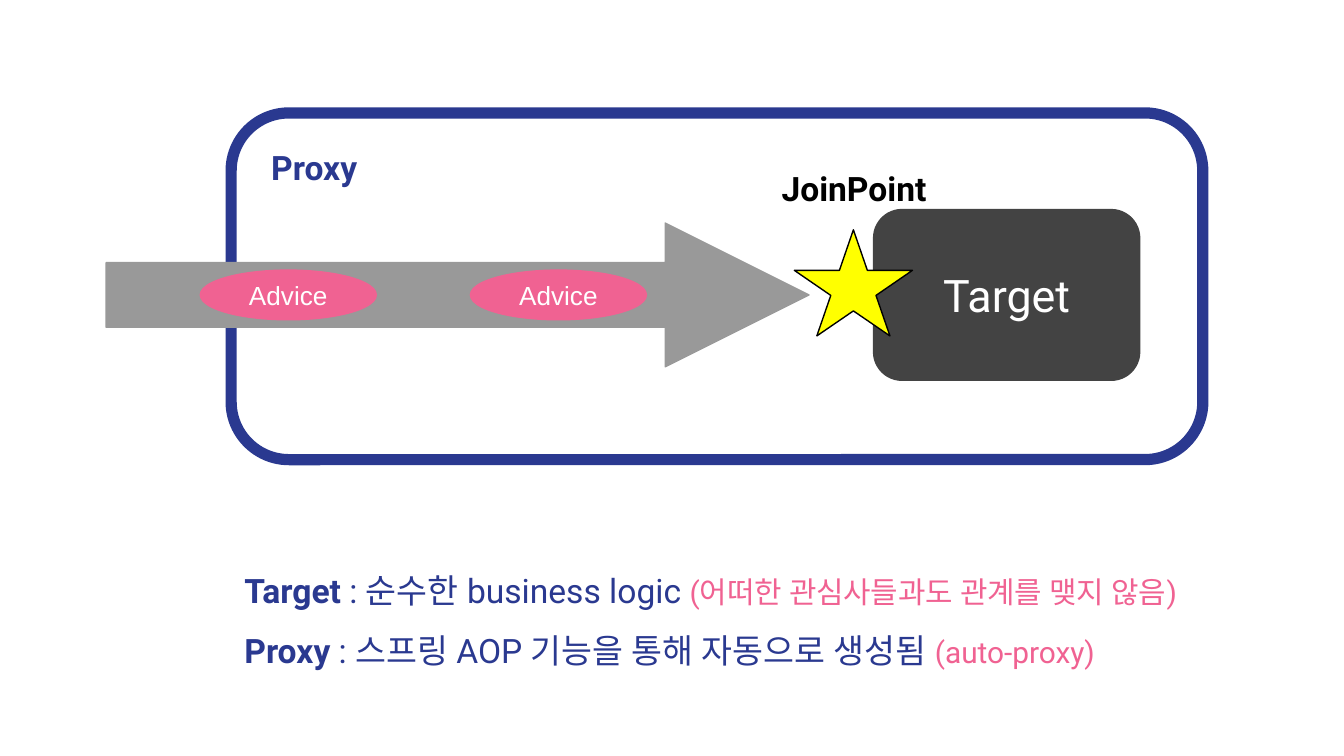
from collections import namedtuple

from pptx import Presentation
from pptx.dml.color import RGBColor
from pptx.enum.lang import MSO_LANGUAGE_ID
from pptx.enum.shapes import MSO_SHAPE
from pptx.enum.text import MSO_ANCHOR, PP_ALIGN
from pptx.oxml.xmlchemy import OxmlElement
from pptx.util import Inches, Pt

NAVY = RGBColor(0x2A, 0x39, 0x90)
PINK = RGBColor(0xF0, 0x62, 0x92)
GRAY = RGBColor(0x99, 0x99, 0x99)
DARK = RGBColor(0x43, 0x43, 0x43)
YELLOW = RGBColor(0xFF, 0xFF, 0x00)
WHITE = RGBColor(0xFF, 0xFF, 0xFF)
BLACK = RGBColor(0x00, 0x00, 0x00)

CELL = Inches(0.1)  # the slide is 100 columns by 56.25 rows
COLS, ROWS = 100, 56.25
Box = namedtuple("Box", "left top width height")


def place(area, left, top, width, height):
    """Return a box whose left and top are counted from those of area."""
    return Box(area.left + left, area.top + top, width, height)


def scale(box):
    return [round(side * CELL) for side in box]


def write(par, text, font="Roboto", size=18, color=NAVY, bold=False):
    run = par.add_run()
    run.text = text
    run.font.name = font
    run.font.size = Pt(size)
    run.font.bold = bold
    run.font.color.rgb = color
    run.font.language_id = MSO_LANGUAGE_ID.KOREAN
    asian = OxmlElement("a:ea")
    asian.set("typeface", font)
    run.font._element.find(".//{*}latin").addnext(asian)


def set_frame(frame, anchor=MSO_ANCHOR.MIDDLE):
    frame.word_wrap = True
    frame.vertical_anchor = anchor
    frame.margin_left = frame.margin_right = CELL
    frame.margin_top = frame.margin_bottom = CELL
    return frame


def add_label(slide, box, text, align=PP_ALIGN.LEFT, **style):
    frame = set_frame(slide.shapes.add_textbox(*scale(box)).text_frame)
    frame.paragraphs[0].alignment = align
    write(frame.paragraphs[0], text, **style)


def add_form(slide, kind, box, fill, line=None, weight=0.75, text="", **style):
    form = slide.shapes.add_shape(kind, *scale(box))
    form.shadow.inherit = False
    form.fill.solid()
    form.fill.fore_color.rgb = fill
    form.line.color.rgb = fill if line is None else line
    form.line.width = Pt(weight)
    if text:
        par = set_frame(form.text_frame).paragraphs[0]
        par.alignment = PP_ALIGN.CENTER
        write(par, text, color=WHITE, **style)
    return form


def draw_proxy(slide, box):
    """Draw the proxy frame, the call running through it and its target."""
    add_form(slide, MSO_SHAPE.ROUNDED_RECTANGLE, box, WHITE, NAVY, weight=6)
    add_label(slide, place(box, 2, 1.6, 10.3, 4.9), "Proxy", bold=True)

    call = place(box, -9.3, 8.2, 52.3, 10.7)
    arrow = add_form(slide, MSO_SHAPE.RIGHT_ARROW, call, GRAY)
    arrow.adjustments[0] = 0.45
    arrow.adjustments[1] = 1
    add_form(slide, MSO_SHAPE.ROUNDED_RECTANGLE,
             place(box, 47.8, 7.2, 19.8, 12.7), DARK, text="Target", size=24)
    for step in range(2):
        add_form(slide, MSO_SHAPE.OVAL,
                 place(call, 7 + 20.1 * step, 3.5, 13.1, 3.7), PINK,
                 text="Advice", font="Arial", size=14)

    add_form(slide, MSO_SHAPE.STAR_5_POINT,
             place(box, 41.9, 8.7, 8.8, 7.9), YELLOW, BLACK)
    add_label(slide, place(box, 39.4, 3.5, 13.9, 4.2), "JoinPoint",
              align=PP_ALIGN.CENTER, color=BLACK, bold=True)


def add_notes(slide, box, notes):
    """Write one line for each term, its meaning and a remark."""
    frame = set_frame(slide.shapes.add_textbox(*scale(box)).text_frame,
                      MSO_ANCHOR.TOP)
    for row, (term, meaning, remark) in enumerate(notes):
        par = frame.add_paragraph() if row else frame.paragraphs[0]
        par.line_spacing = 1.5
        write(par, term, bold=True)
        write(par, f" : {meaning} ")
        write(par, remark, size=16, color=PINK)


def main():
    deck = Presentation()
    deck.slide_width = COLS * CELL
    deck.slide_height = round(ROWS * CELL)
    slide = deck.slides.add_slide(deck.slide_layouts[6])
    draw_proxy(slide, Box(17.2, 8.4, 72.3, 25.8))
    add_notes(slide, Box(17.2, 39.9, 82.8, 10.2), [
        ("Target", "순수한 business logic", "(어떠한 관심사들과도 관계를 맺지 않음)"),
        ("Proxy", "스프링 AOP 기능을 통해 자동으로 생성됨", "(auto-proxy)"),
    ])
    deck.save("out.pptx")


if __name__ == "__main__":
    main()
